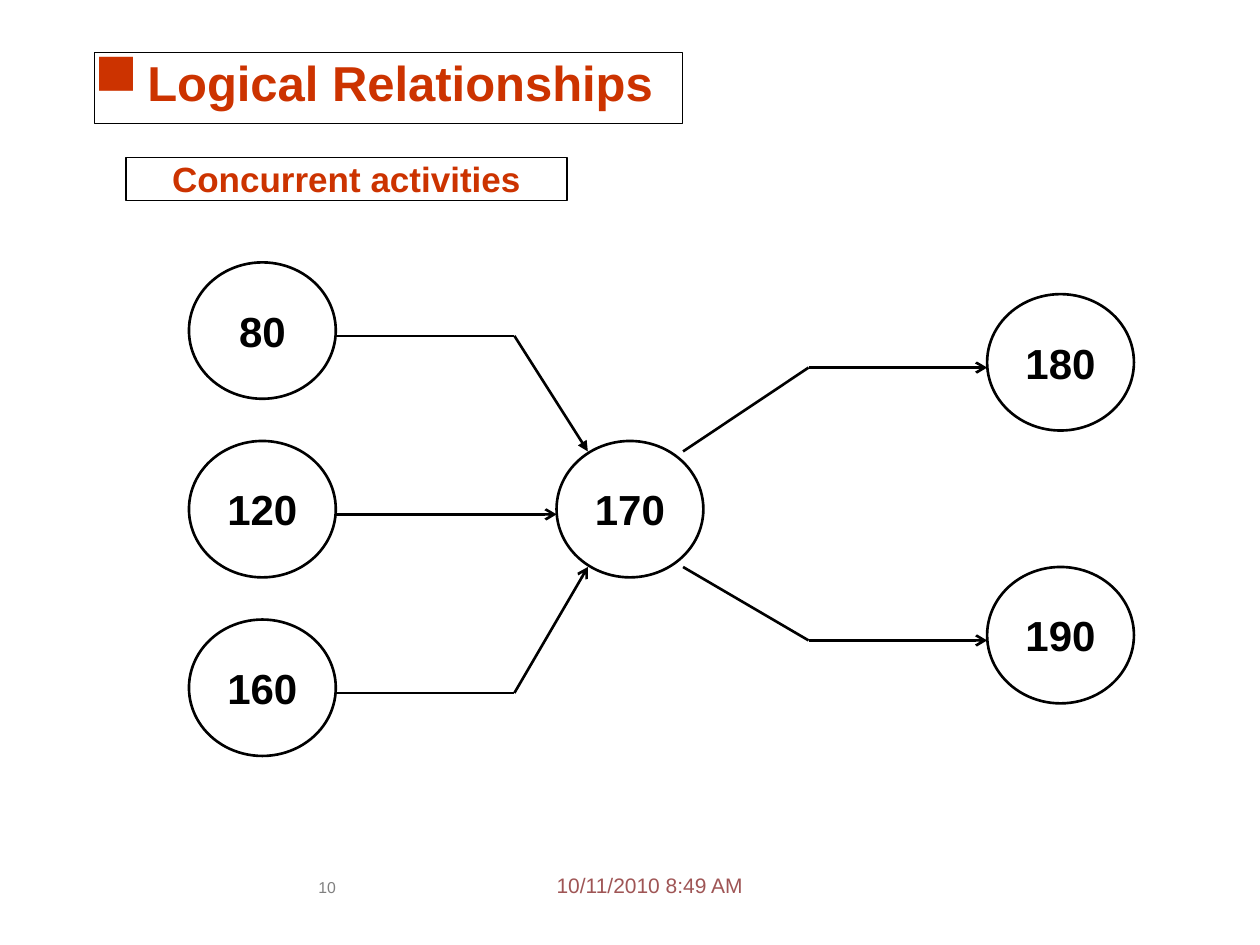
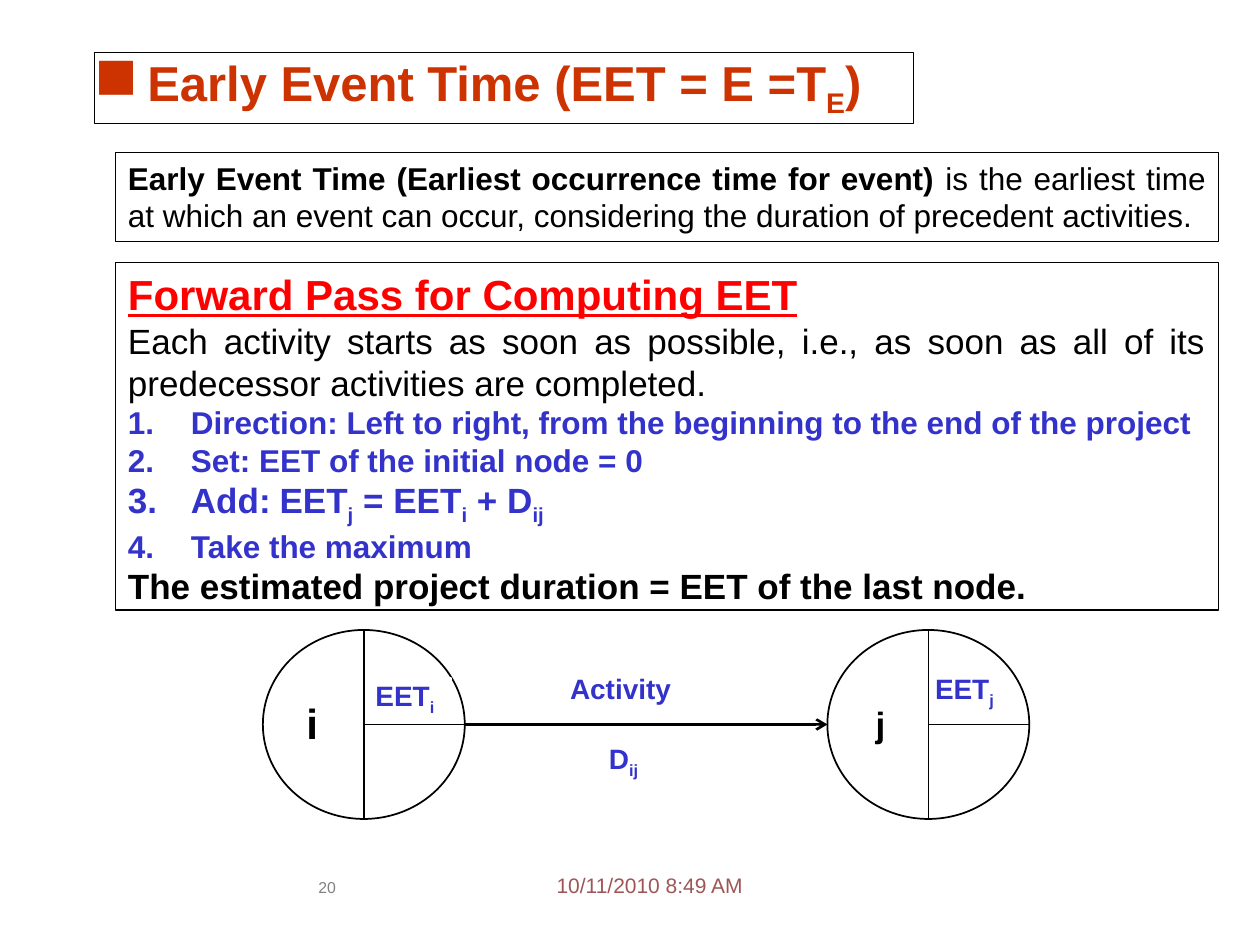
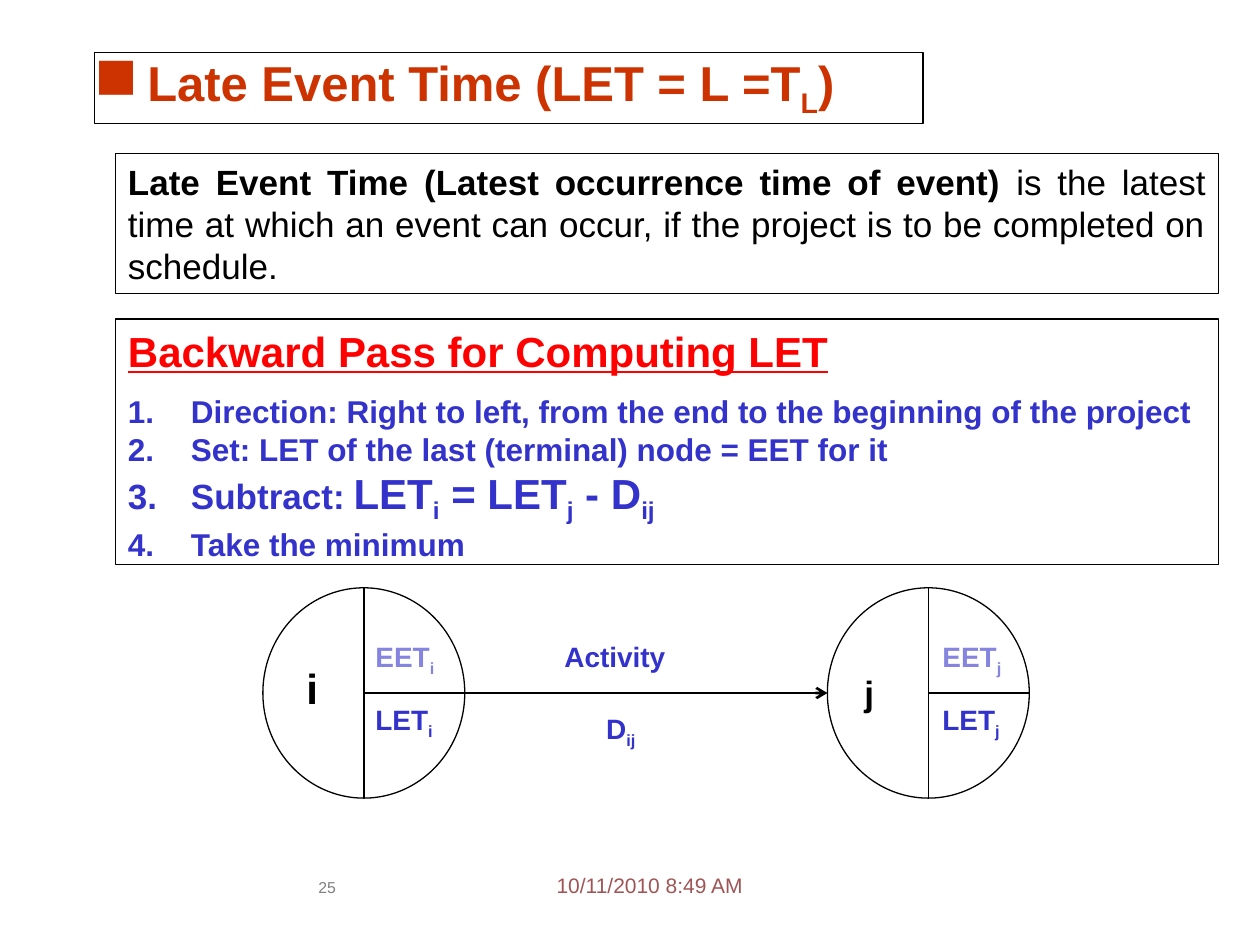
from lxml import etree
from pptx import Presentation
from pptx.dml.color import RGBColor
from pptx.enum.shapes import MSO_CONNECTOR, MSO_SHAPE
from pptx.enum.text import MSO_ANCHOR, PP_ALIGN
from pptx.oxml.ns import qn
from pptx.util import Cm, Pt

RECT, OVAL = MSO_SHAPE.RECTANGLE, MSO_SHAPE.OVAL
LINE = MSO_CONNECTOR.STRAIGHT
TOP, MIDDLE = MSO_ANCHOR.TOP, MSO_ANCHOR.MIDDLE
LEFT, CENTER, JUSTIFY = PP_ALIGN.LEFT, PP_ALIGN.CENTER, PP_ALIGN.JUSTIFY

FONT = "Arial"
COLORS = {
    "white": "FFFFFF", "black": "000000", "rust": "CC3300", "red": "FF0000",
    "blue": "3333CC", "pale": "8585E0", "rose": "9F5555", "gray": "808080",
}


def color(name):
    """Look up a colour by name."""
    return RGBColor.from_string(COLORS[name])


def bullet(para, kind, indent):
    """Give a paragraph a hanging square or number."""
    props = para._p.get_or_add_pPr()
    props.set("marL", str(Cm(indent)))
    props.set("indent", str(-Cm(indent)))
    if kind == "number":
        etree.SubElement(props, qn("a:buAutoNum"), type="arabicPeriod")
        return
    tint = etree.SubElement(props, qn("a:buClr"))
    etree.SubElement(tint, qn("a:srgbClr"), val=COLORS["rust"])
    etree.SubElement(props, qn("a:buSzPct"), val="120000")
    etree.SubElement(props, qn("a:buChar"), char="■")


def write(frame, text, size=18, tint="black", bold=True, under=False,
          align=LEFT, mark=None, indent=1.27, after=0):
    """Add a paragraph; text is a string or (string, changes) pairs.

    Parts between tildes are set as subscripts.
    """
    para = frame.add_paragraph() if frame.text else frame.paragraphs[0]
    para.alignment = align
    para.space_after = Pt(after)
    if mark:
        bullet(para, mark, indent)
    pieces = [(text, {})] if isinstance(text, str) else text
    for words, changes in pieces:
        for spot, part in enumerate(words.split("~")):
            if not part:
                continue
            run = para.add_run()
            run.text = part
            font = run.font
            font.name = FONT
            font.size = Pt(changes.get("size", size))
            font.bold = changes.get("bold", bold)
            font.underline = under
            font.color.rgb = color(tint)
            if spot % 2:
                font._element.set("baseline", "-25000")


class Deck:
    """Holds the shared style and the current slide."""

    def __init__(self):
        self.show = Presentation()
        self.show.slide_width, self.show.slide_height = Cm(25.4), Cm(19.05)
        self.slide = None

    def page(self, number, title, width):
        """Start a slide with its title box and footer."""
        self.slide = self.show.slides.add_slide(self.show.slide_layouts[6])
        write(self.note(11.22, 17.58, 4.24, 0.64), "10/11/2010 8:49 AM",
              size=12, tint="rose", bold=False)
        write(self.note(6.1, 17.7, 0.99, 0.86), str(number),
              size=9, tint="gray", bold=False, align=CENTER)
        write(self.box(1.9, 1.06, width, 1.43), title, size=28, tint="rust",
              mark="square", indent=1.07)

    def clear(self, shape, inset=(0, 0), anchor=TOP, wrap=True):
        """Set the margins of a shape and return its text frame."""
        frame = shape.text_frame
        frame.margin_left = frame.margin_right = Cm(inset[0])
        frame.margin_top = frame.margin_bottom = Cm(inset[1])
        frame.vertical_anchor = anchor
        frame.word_wrap = wrap
        return frame

    def note(self, x, y, w, h):
        """Add a bare text box."""
        area = Cm(x), Cm(y), Cm(w), Cm(h)
        return self.clear(self.slide.shapes.add_textbox(*area))

    def box(self, x, y, w, h, form=RECT, edge="black", weight=0.75, **layout):
        """Add a white shape and return its text frame."""
        shape = self.slide.shapes.add_shape(form, Cm(x), Cm(y), Cm(w), Cm(h))
        shape.shadow.inherit = False
        shape.fill.solid()
        shape.fill.fore_color.rgb = color("white")
        if edge:
            shape.line.color.rgb = color(edge)
            shape.line.width = Pt(weight)
        else:
            shape.line.fill.background()
        return self.clear(shape, **layout)

    def panel(self, y, h):
        """Add a wide framed box for body text."""
        return self.box(2.33, y, 22.23, h, inset=(0.25, 0.13))

    def node(self, x, y, label):
        """Add a numbered event circle."""
        frame = self.box(x, y, 2.96, 2.75, form=OVAL, weight=1.5,
                         anchor=MIDDLE, wrap=False)
        write(frame, label, size=24, align=CENTER)

    def route(self, *points, weight=1.5, tip=None):
        """Join points by lines, with an arrowhead at the last."""
        for start, end in zip(points, points[1:]):
            ends = [Cm(value) for value in start + end]
            link = self.slide.shapes.add_connector(LINE, *ends)
            link.line.color.rgb = color("black")
            link.line.width = Pt(weight)
            props = link._element.spPr
            if tip and end == points[-1]:
                stroke = link.line._get_or_add_ln()
                etree.SubElement(stroke, qn("a:tailEnd"), type=tip)
            etree.SubElement(props, qn("a:effectLst"))

    def event(self, x, y, h, weight):
        """Add a split circle: name on the left, times on the right."""
        self.box(x, y, 4.07, h, form=OVAL, weight=weight)
        mid, half = x + 2.04, y + h / 2
        self.route((mid, y), (mid, y + h), weight=weight)
        self.route((mid, half), (x + 4.07, half), weight=weight)

    def link(self, y, h, weight, edge, labels):
        """Draw two events, the arrow between them and the labels."""
        first, last = 5.3, 16.68
        for x in (first, last):
            self.event(x, y, h, weight)
        for text, area, style in labels:
            frame = self.box(*area, edge=edge, weight=weight)
            write(frame, text, **{"size": 16, "tint": "blue", **style})
        half = y + h / 2
        self.route((first + 4.07, half), (last, half), tip="arrow")


def steps(frame, items):
    """Write the numbered steps of a pass."""
    for text, size in items:
        write(frame, text, size=size, tint="blue", align=JUSTIFY,
              mark="number")


def define(frame, term, rest, size):
    """Write a definition with its term in bold."""
    write(frame, [(term, {}), (rest, {"bold": False})], size=size,
          align=JUSTIFY)


MID = {"align": CENTER}
BIG = {"size": 24, "tint": "black", "align": CENTER}
NAME = {"size": 20, "tint": "black", "align": CENTER}
PALE = {"tint": "pale"}

deck = Deck()

# Concurrent activities
deck.page(10, "Logical Relationships", 11.86)
write(deck.box(2.54, 3.18, 8.89, 0.86), "Concurrent activities", size=20,
      tint="rust", align=CENTER)
for row, label in enumerate(("80", "120", "160")):
    deck.node(3.81, 5.29 + 3.6 * row, label)
deck.node(11.22, 8.89, "170")
deck.node(19.9, 5.93, "180")
deck.node(19.9, 11.43, "190")
deck.route((6.77, 6.77), (10.37, 6.77), (11.85, 9.1), tip="triangle")
deck.route((6.77, 10.37), (11.22, 10.37), tip="arrow")
deck.route((6.77, 13.97), (10.37, 13.97), (11.85, 11.43), tip="arrow")
deck.route((13.77, 9.1), (16.3, 7.41), (19.9, 7.41), tip="arrow")
deck.route((13.77, 11.43), (16.3, 12.91), (19.9, 12.91), tip="arrow")

# Forward pass
deck.page(20, "Early Event Time (EET = E =T~E~)", 16.51)
body = deck.panel(5.29, 7.01)
write(body, "Forward Pass for Computing EET", size=24, tint="red",
      under=True, align=JUSTIFY)
write(body, "Each activity starts as soon as possible, i.e., as soon as all "
      "of its predecessor activities are completed.", size=20, bold=False,
      align=JUSTIFY)
steps(body, [
    ("Direction: Left to right, from the beginning to the end of the project",
     18),
    ("Set: EET of the initial node = 0", 18),
    ([("Add:", {}), (" ", {"size": 18}), ("EET~j~ = EET~i~ + D~ij~", {})], 20),
    ("Take the maximum", 18),
])
write(body, "The estimated project duration = EET of the last node.",
      size=20, align=JUSTIFY)
define(deck.panel(3.07, 1.8),
       "Early Event Time (Earliest occurrence time for event)",
       " is the earliest time at which an event can occur, considering the "
       "duration of precedent activities.", 18)
deck.link(12.7, 3.81, 1, "white", [
    ("j", (17.09, 14.17, 1.32, 0.86), NAME),
    ("i", (5.66, 14.07, 1.27, 0.91), BIG),
    ("EET~j~", (18.85, 13.54, 1.42, 0.69), {}),
    ("EET~i~", (7.57, 13.67, 1.52, 0.69), {}),
    ("Activity", (11.05, 13.54, 2.92, 0.69), MID),
    ("D~ij~", (11.86, 14.94, 1.42, 0.69), MID),
])

# Backward pass
deck.page(25, "Late Event Time (LET = L =T~L~)", 16.71)
body = deck.panel(6.43, 4.95)
write(body, "Backward Pass for Computing LET", size=24, tint="red",
      under=True, align=JUSTIFY, after=9.2)
steps(body, [
    ("Direction: Right to left, from the end to the beginning of the project",
     18),
    ("Set: LET of the last (terminal) node = EET for it", 18),
    ([("Subtract:", {}), (" ", {"size": 18}),
      ("LET~i~ = LET~j~ - D~ij~", {"size": 24})], 20),
    ("Take the minimum", 18),
])
define(deck.panel(3.1, 2.82),
       "Late Event Time (Latest occurrence time of event)",
       " is the latest time at which an event can occur, if the project is "
       "to be completed on schedule.", 20)
deck.link(11.85, 4.24, 0.75, None, [
    ("j", (16.89, 13.54, 1.27, 0.86), NAME),
    ("i", (5.66, 13.36, 1.27, 1.02), BIG),
    ("LET~i~", (7.57, 14.17, 1.47, 0.69), {}),
    ("EET~j~", (19, 12.9, 1.27, 0.69), PALE),
    ("LET~j~", (19, 14.17, 1.27, 0.69), {}),
    ("EET~i~", (7.57, 12.9, 1.47, 0.69), PALE),
    ("Activity", (11.38, 12.9, 2.34, 0.69), {}),
    ("D~ij~", (12.22, 14.35, 1.07, 0.69), {}),
])

deck.show.save("out.pptx")
